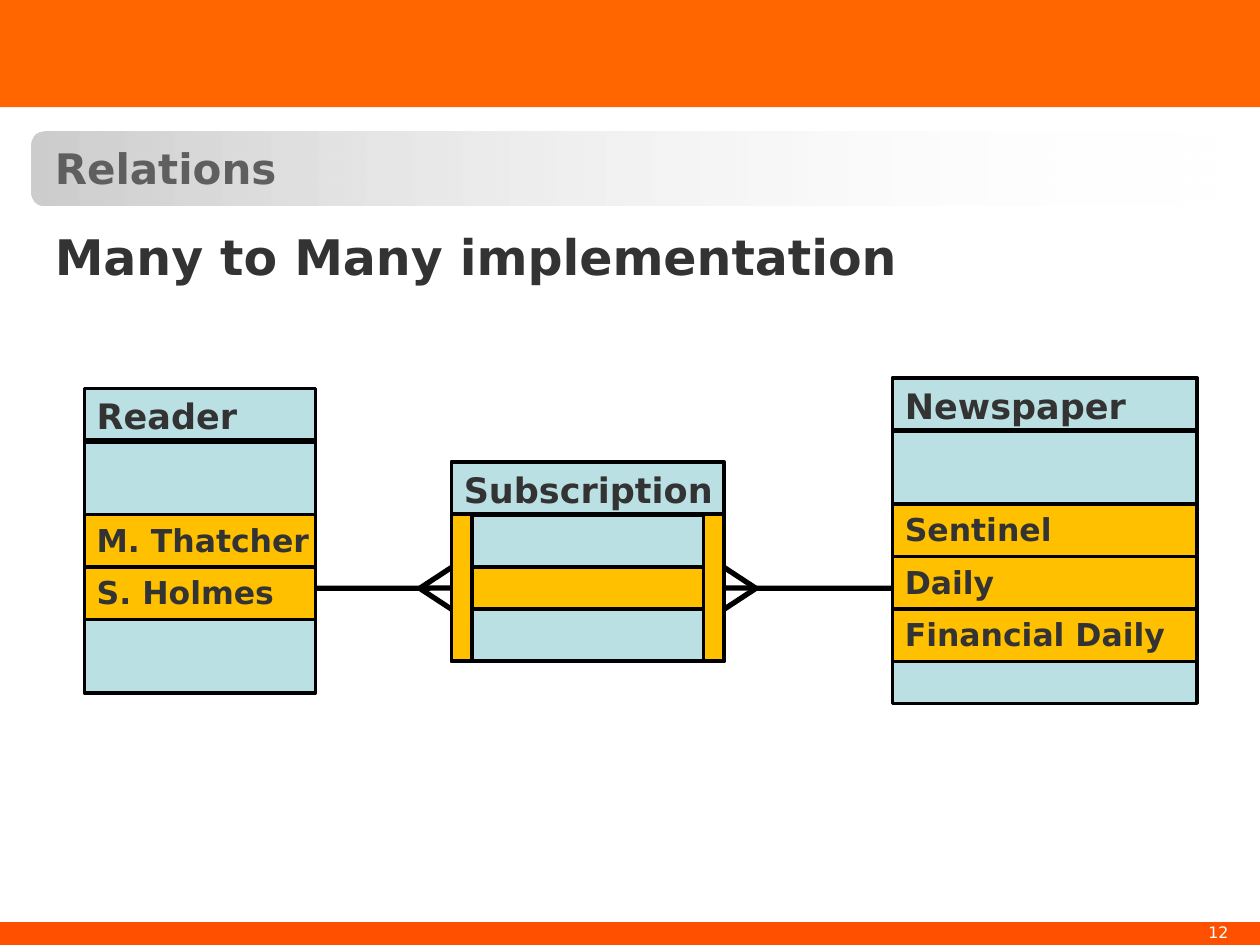
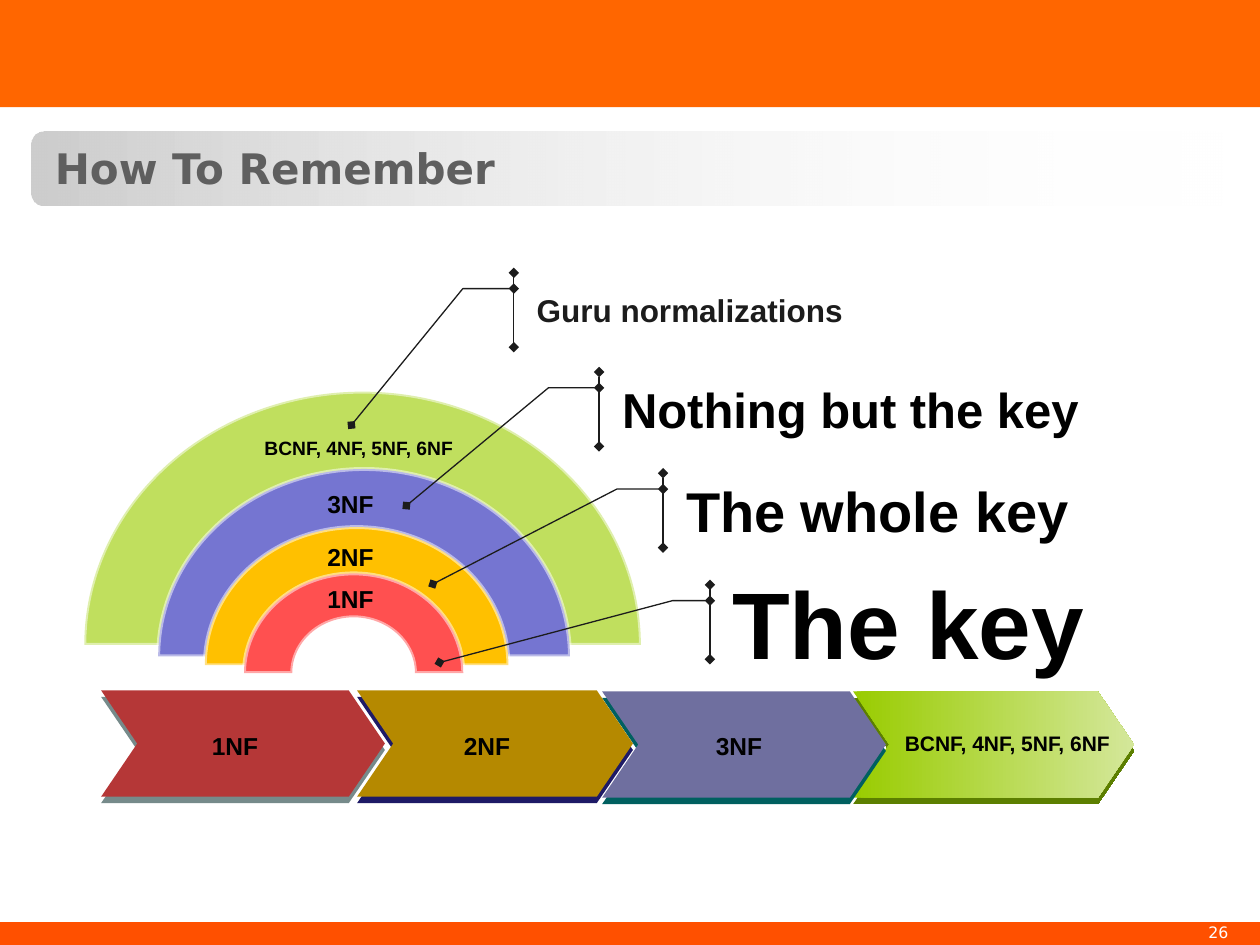
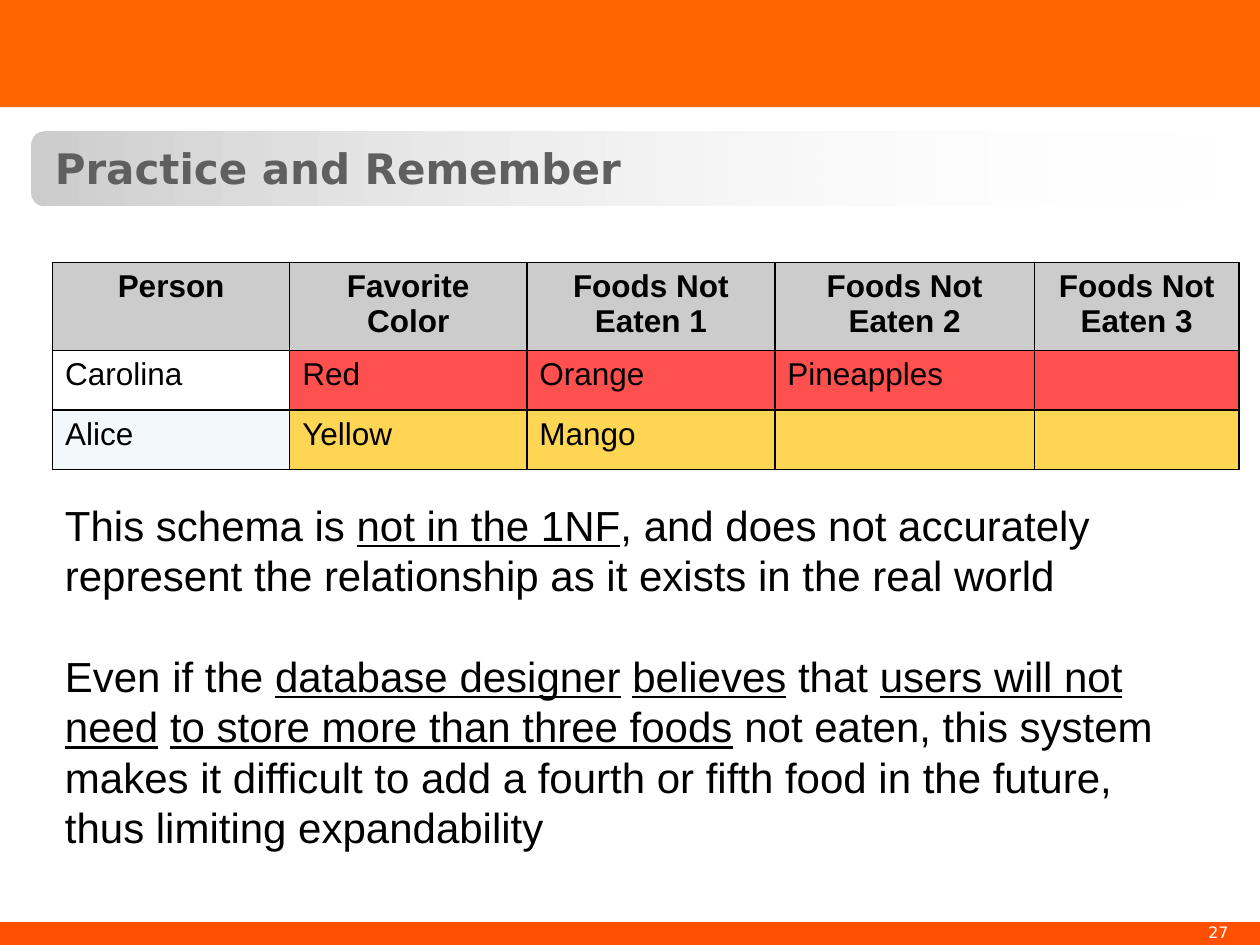
from lxml.etree import SubElement
from pptx import Presentation
from pptx.dml.color import RGBColor
from pptx.enum.shapes import MSO_CONNECTOR, MSO_SHAPE
from pptx.enum.text import MSO_ANCHOR, MSO_AUTO_SIZE, PP_ALIGN
from pptx.oxml.ns import qn
from pptx.util import Cm, Pt

COLORS = {
    "header": "FF6600", "footer": "FF5000", "pill": "CDCDCD", "white": "FFFFFF",
    "black": "000000", "ink": "1C1C1C", "title": "5F5F5F", "text": "333333",
    "entity": "BBE0E3", "gold": "FFC000", "red": "FF5050", "blue": "7575D1",
    "green": "C0DF5E", "lime": "99CC00", "pale_lime": "D4E79A", "pale_gold": "FFD653",
    "dark_red": "B53737", "dark_gold": "B58900", "dark_blue": "6F6F9F",
    "grey_side": "768A8A", "navy_side": "1E1A66", "teal_side": "006060",
    "olive_side": "5C7F00", "table_head": "CCCCCC", "pale_blue": "F3F9FA",
}
TITLE = {"name": "DejaVu Sans", "size": Pt(24), "bold": True, "color": "title"}
SUBTITLE = {**TITLE, "size": Pt(28), "color": "text"}
ENTITY = {**SUBTITLE, "size": Pt(20)}
RECORD = {**SUBTITLE, "size": Pt(18)}
NUMBER = {"name": "DejaVu Sans", "size": Pt(9), "color": "white"}
LABEL = {"name": "Arial", "size": Pt(14), "bold": True, "color": "black"}
CELL = {"name": "Arial", "size": Pt(18), "bold": False, "color": "black"}
PROSE = {**CELL, "size": Pt(24)}
FLAT = {"margin_right": 0, "word_wrap": True}
HIGHER_FORMS = "BCNF, 4NF, 5NF, 6NF"


def rgb(name):
    return RGBColor.from_string(COLORS[name])


def apply(target, fmt):
    for key, value in fmt.items():
        if key == "color":
            target.color.rgb = rgb(value)
        else:
            setattr(target, key, value)


def write(tf, text, fmt, align=PP_ALIGN.LEFT, frame=None):
    apply(tf, frame or {})
    p = tf.paragraphs[0]
    p.alignment = align
    r = p.add_run()
    r.text = text
    apply(r.font, fmt)
    return p


def part(sp, tag):
    return sp.element.find(qn("p:spPr")).find(qn(tag))


def set_alpha(fill, percent):
    color = list(fill.iter(qn("a:srgbClr")))[-1]
    SubElement(color, qn("a:alpha"), val=str(percent * 1000))


def paint(sp, fill=None, line=None, width=2):
    sp.shadow.inherit = False
    if fill is None:
        sp.fill.background()
    elif isinstance(fill, tuple):
        sp.fill.gradient()
        sp.fill.gradient_angle = 0
        for stop, name in zip(sp.fill.gradient_stops, fill):
            stop.color.rgb = rgb(name)
    else:
        sp.fill.solid()
        sp.fill.fore_color.rgb = rgb(fill)
    if line:
        sp.line.color.rgb = rgb(line)
        sp.line.width = Pt(width)
    else:
        sp.line.fill.background()
    return sp


def shape(s, kind, box, fill=None, line=None, width=2):
    return paint(s.shapes.add_shape(kind, *map(Cm, box)), fill, line, width)


def rect(s, box, fill, line="black"):
    return shape(s, MSO_SHAPE.RECTANGLE, box, fill, line)


def connect(s, x1, y1, x2, y2):
    cxn = s.shapes.add_connector(MSO_CONNECTOR.STRAIGHT, *map(Cm, (x1, y1, x2, y2)))
    cxn.line.color.rgb = rgb("black")
    cxn.line.width = Pt(3)
    SubElement(cxn.element.find(qn("p:spPr")), qn("a:effectLst"))
    return cxn


def label(s, x, y, w, h, text, fmt, wrap=False):
    tb = s.shapes.add_textbox(*map(Cm, (x, y, w, h)))
    return write(tb.text_frame, text, fmt, frame={"word_wrap": wrap})


def fill_placeholder(ph, box, text, fmt, anchor):
    for key, value in zip(("left", "top", "width", "height"), box):
        setattr(ph, key, Cm(value))
    frame = {"auto_size": MSO_AUTO_SIZE.NONE, "vertical_anchor": anchor, "word_wrap": True}
    return write(ph.text_frame, text, fmt, frame=frame)


def add_master_bands(prs, s):
    pill = shape(s, MSO_SHAPE.ROUNDED_RECTANGLE, (0.64, 2.66, 24.13, 1.48), ("pill", "white"))
    set_alpha(part(pill, "a:gradFill"), 0)
    footer = rect(s, (0, 18.59, 25.4, 0.46), "footer", None)
    header = rect(s, (0, 0, 25.4, 2.16), "header", None)
    tree = prs.slide_master.shapes.element
    for i, band in enumerate((pill, footer, header)):
        band.element.find(qn("p:nvSpPr")).find(qn("p:cNvPr")).set("id", str(100 + i))
        tree.insert(2 + i, band.element)


def new_slide(prs, layout, title, number):
    s = prs.slides.add_slide(prs.slide_layouts[layout])
    fill_placeholder(s.shapes.title, (0.85, 2.74, 23.93, 1.27), title, TITLE, MSO_ANCHOR.MIDDLE)
    label(s, 24.11, 18.48, 1.27, 0.64, number, NUMBER, True)
    return s


def entity(s, box, name):
    x, y, w, h = box
    sp = rect(s, box, "entity")
    write(sp.text_frame, name, ENTITY, frame={**FLAT, "vertical_anchor": MSO_ANCHOR.TOP})
    connect(s, x, y + 1.06, x + w, y + 1.06)


def record_entity(s, box, name, records):
    x, y, w, h = box
    entity(s, box, name)
    for i, record in enumerate(records):
        row = rect(s, (x, y + 2.54 + i * 1.06, w, 1.06), "gold")
        write(row.text_frame, record, RECORD,
              frame={**FLAT, "vertical_anchor": MSO_ANCHOR.MIDDLE, "margin_bottom": Cm(0.17)})


def link_entity(s, box, name):
    x, y, w, h = box
    entity(s, box, name)
    link = rect(s, (x, y + 2.12, w, 0.85), "gold")
    for key_x in (x, x + w - 0.42):
        rect(s, (key_x, y + 1.06, 0.42, h - 1.06), "gold")
    return link


def crow_foot(s, link, side, edge, far, reach, y):
    line = connect(s, far, y, edge, y)
    line.end_connect(link, side)
    for dy in (-0.42, 0.42):
        connect(s, edge, y + dy, edge + reach, y)


def relations_slide(prs):
    s = new_slide(prs, 1, "Relations", "12")
    add_master_bands(prs, s)
    p = fill_placeholder(s.placeholders[1], (0.85, 4.43, 24.13, 1.45),
                         "Many to Many implementation", SUBTITLE, MSO_ANCHOR.TOP)
    pPr = p._p.get_or_add_pPr()
    pPr.set("marL", "0")
    pPr.set("indent", "0")
    SubElement(pPr, qn("a:buNone"))
    record_entity(s, (1.7, 7.83, 4.66, 6.14), "Reader", ["M. Thatcher", "S. Holmes"])
    record_entity(s, (17.99, 7.62, 6.14, 6.56), "Newspaper",
                  ["Sentinel", "Daily", "Financial Daily"])
    link = link_entity(s, (9.1, 9.31, 5.5, 4.02), "Subscription")
    crow_foot(s, link, 1, 9.1, 6.36, -0.64, 11.86)
    crow_foot(s, link, 3, 14.6, 17.99, 0.64, 11.86)


def arc_to(outline, rx, ry, start, sweep):
    SubElement(outline, qn("a:arcTo"), wR=str(Cm(rx)), hR=str(Cm(ry)),
               stAng=str(start * 60000), swAng=str(sweep * 60000))


def arch(s, cx, base, rx, fill):
    ry, hole = 0.91 * rx, 0.56
    corners = [(cx - rx, base), (cx - rx, base - ry), (cx + rx, base - ry),
               (cx + rx, base), (cx + hole * rx, base)]
    points = [(Cm(x), Cm(y)) for x, y in corners]
    builder = s.shapes.build_freeform(*points[0])
    builder.add_line_segments(points[1:], close=True)
    sp = paint(builder.convert_to_shape(), fill, "white", 2.25)
    outline = next(part(sp, "a:custGeom").iter(qn("a:path")))
    *sides, inner_edge, close = list(outline)[1:]
    for element in (*sides, inner_edge, close):
        outline.remove(element)
    arc_to(outline, rx, ry, 180, 180)
    outline.append(inner_edge)
    arc_to(outline, hole * rx, hole * ry, 0, -180)
    outline.append(close)
    set_alpha(part(sp, "a:ln"), 50)


def callout(s, box, text, size, color, percents):
    sp = shape(s, MSO_SHAPE.LINE_CALLOUT_2_ACCENT_BAR, box, None, "ink", 0.75)
    for i, percent in enumerate(percents):
        sp.adjustments[i] = percent / 100
    for end in ("a:headEnd", "a:tailEnd"):
        SubElement(part(sp, "a:ln"), qn(end), type="diamond")
    write(sp.text_frame, text, {**LABEL, "size": Pt(size), "color": color},
          frame={"vertical_anchor": MSO_ANCHOR.MIDDLE})


def step(s, box, fill, side):
    sp = shape(s, MSO_SHAPE.CHEVRON, box, fill)
    sp.adjustments[0] = 0.34
    depth = SubElement(part(sp, "a:effectLst"), qn("a:outerShdw"), blurRad="0",
                       dist=str(Cm(0.13)), dir="5400000", algn="ctr", rotWithShape="0")
    SubElement(depth, qn("a:srgbClr"), val=COLORS[side])


def remember_slide(prs):
    s = new_slide(prs, 5, "How To Remember", "26")
    for cx, base, rx, fill in (
        (7.31, 13, 5.61, "green"), (7.34, 13.23, 4.15, "blue"),
        (7.19, 13.41, 3.06, "gold"), (7.13, 13.57, 2.21, "red"),
    ):
        arch(s, cx, base, rx, fill)
    for x, y, w, text, size, color, bend, end_y, end_x in (
        (14.51, 11.79, 9.91, "The key", 54, "black", -9.6, 104.4, -57),
        (13.58, 9.54, 10.69, "The whole key", 32, "black", -10.7, 149, -45.4),
        (12.29, 7.5, 10.64, "Nothing but the key", 28, "black", -11.6, 179.6, -38.5),
        (10.57, 5.5, 10.59, "Guru normalizations", 18, "ink", -11.7, 204.7, -32.9),
    ):
        callout(s, (x, y, w, 1.5), text, size, color, (21.3, -2, 21.3, bend, end_y, end_x))
    for x, y, w, fill, side in (
        (17.2, 13.94, 5.66, ("lime", "pale_lime"), "olive_side"),
        (12.14, 13.94, 5.72, "dark_blue", "teal_side"),
        (7.2, 13.92, 5.56, "dark_gold", "navy_side"),
        (2.04, 13.92, 5.72, "dark_red", "grey_side"),
    ):
        step(s, (x, y, w, 2.14), fill, side)
    for i, (form, arch_y) in enumerate((("1NF", 11.64), ("2NF", 10.8), ("3NF", 9.74))):
        label(s, 4.02 + 5.08 * i, 14.61, 1.45, 0.86, form, LABEL)
        label(s, 6.35, arch_y, 1.45, 0.86, form, LABEL)
    label(s, 17.99, 14.61, 4.7, 0.76, HIGHER_FORMS, {**LABEL, "size": Pt(12)})
    label(s, 5.08, 8.68, 4.47, 0.74, HIGHER_FORMS, {**LABEL, "size": Pt(11)})


def border(cell):
    tcPr = cell._tc.get_or_add_tcPr()
    for side in ("a:lnL", "a:lnR", "a:lnT", "a:lnB"):
        ln = SubElement(tcPr, qn(side), w=str(Pt(1)))
        SubElement(SubElement(ln, qn("a:solidFill")), qn("a:srgbClr"), val=COLORS["black"])


def foods_table(s, x, y):
    widths = (4.78, 4.78, 5, 5.23, 4.13)
    heights = (0.64, 1.2, 1.2)
    rows = (
        ("Person", "Favorite Color", "Foods Not Eaten 1", "Foods Not Eaten 2",
         "Foods Not Eaten 3"),
        ("Carolina", "Red", "Orange", "Pineapples", ""),
        ("Alice", "Yellow", "Mango", "", ""),
    )
    fills = (("table_head", "table_head"), ("white", "red"), ("pale_blue", "pale_gold"))
    table = s.shapes.add_table(len(rows), len(widths), Cm(x), Cm(y),
                               Cm(sum(widths)), Cm(sum(heights))).table
    apply(table, {"first_row": False, "horz_banding": False})
    for col, width in zip(table.columns, widths):
        col.width = Cm(width)
    for i, texts in enumerate(rows):
        table.rows[i].height = Cm(heights[i])
        head = i == 0
        for j, text in enumerate(texts):
            cell = table.cell(i, j)
            border(cell)
            cell.fill.solid()
            cell.fill.fore_color.rgb = rgb(fills[i][j > 0])
            if text:
                write(cell.text_frame, text, {**CELL, "bold": head},
                      PP_ALIGN.CENTER if head else PP_ALIGN.LEFT)


def prose(s, box, paragraphs):
    tf = s.shapes.add_textbox(*map(Cm, box)).text_frame
    tf.word_wrap = True
    for i, text in enumerate(paragraphs):
        p = tf.add_paragraph() if i else tf.paragraphs[0]
        apply(p, {"line_spacing": Pt(28.8), "space_before": Pt(28.8 if i else 0)})
        for j, words in enumerate(text.split("_")):
            r = p.add_run()
            r.text = words
            apply(r.font, {**PROSE, "underline": j % 2 == 1})


def practice_slide(prs):
    s = new_slide(prs, 5, "Practice and Remember", "27")
    foods_table(s, 1.06, 5.29)
    prose(s, (1.06, 9.94, 22.55, 7.44), (
        "This schema is _not in the 1NF_, and does not accurately represent the "
        "relationship as it exists in the real world",
        "Even if the _database designer_ _believes_ that _users will not need_ "
        "_to store more than three foods_ not eaten, this system makes it difficult "
        "to add a fourth or fifth food in the future, thus limiting expandability",
    ))


def main():
    prs = Presentation()
    prs.slide_width, prs.slide_height = Cm(25.4), Cm(19.05)
    relations_slide(prs)
    remember_slide(prs)
    practice_slide(prs)
    prs.save("out.pptx")


if __name__ == "__main__":
    main()
